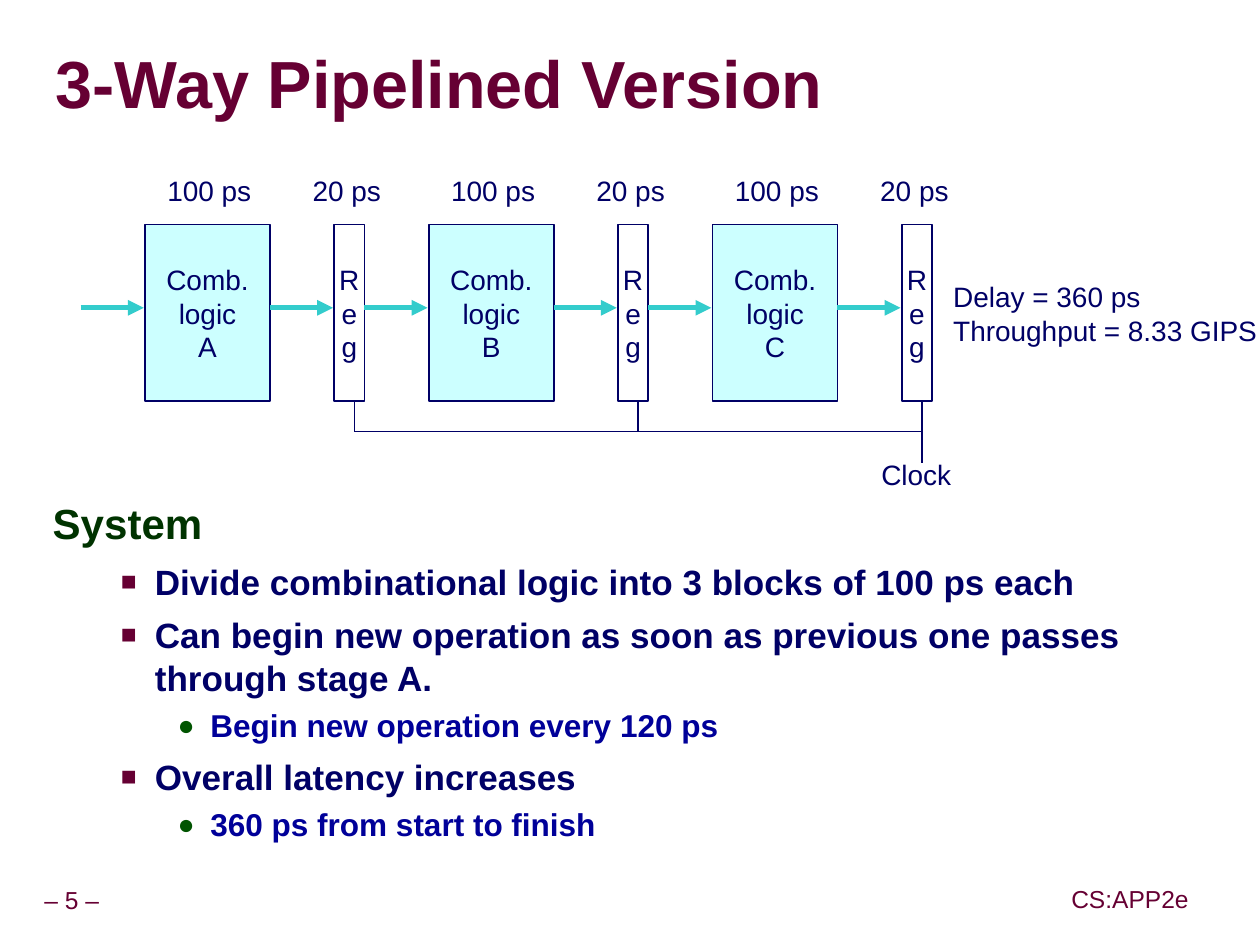
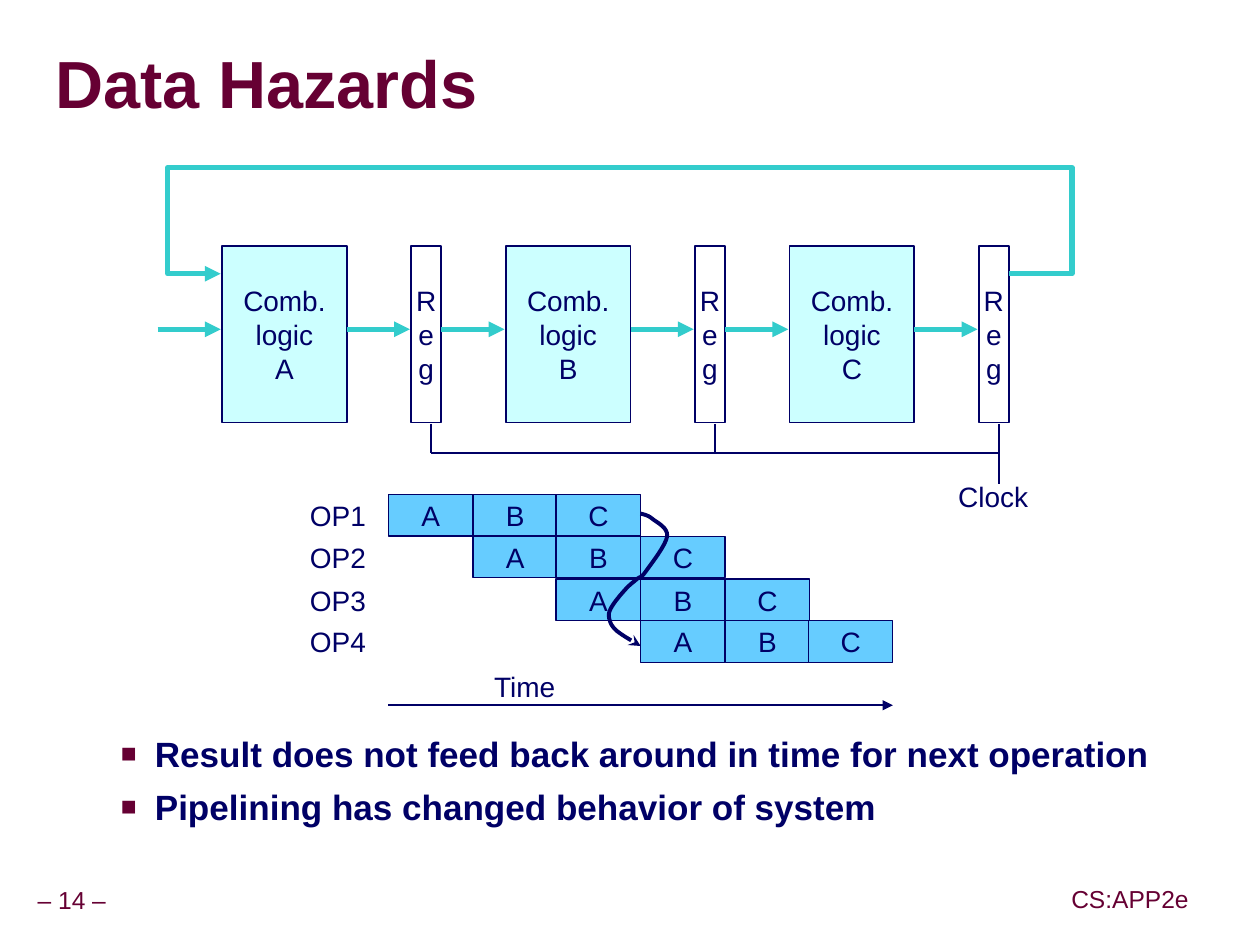
from lxml.etree import SubElement
from pptx import Presentation
from pptx.dml.color import RGBColor
from pptx.enum.shapes import MSO_CONNECTOR, MSO_SHAPE
from pptx.enum.text import MSO_ANCHOR, MSO_AUTO_SIZE, PP_ALIGN
from pptx.oxml import parse_xml
from pptx.oxml.ns import nsdecls, qn
from pptx.util import Pt

PX = 9144  # EMU per px, 100 px to the inch
NAVY, MAROON, TEAL = "000066", "660033", "33CCCC"
PALE, SKY, WHITE = "CCFFFF", "66CCFF", "FFFFFF"
CENTER, LEFT, RIGHT = PP_ALIGN.CENTER, PP_ALIGN.LEFT, PP_ALIGN.RIGHT

# size, colour, left margin, hanging indent, line spacing, space before, bullet
LEVELS = [
    (24, "003300", 42, 42, 0.95, 12, None),
    (20, NAVY, 81, 27, 1.02, 6, ("■", MAROON, 75)),
    (18, "000099", 125, 26, 1.07, 3, ("●", "005400", 90)),
]


def rgb(code):
    return RGBColor.from_string(code)


def put(obj, **values):
    for name, value in values.items():
        setattr(obj, name, value)


def smooth(points, steps=8):
    """Return points on a Catmull-Rom curve through the given points."""
    ends = [points[0], *points, points[-1]]
    curve = [points[0]]
    for a, b, c, d in zip(ends, ends[1:], ends[2:], ends[3:]):
        for i in range(1, steps + 1):
            t = i / steps
            curve.append(tuple(
                (2 * q + (r - p) * t + (2 * p - 5 * q + 4 * r - s) * t ** 2
                 + (3 * q - p - 3 * r + s) * t ** 3) / 2
                for p, q, r, s in zip(a, b, c, d)))
    return curve


class Deck:
    """Holds the presentation, its style and the current slide."""

    def __init__(self, width, height):
        self.prs = Presentation()
        put(self.prs, slide_width=width * PX, slide_height=height * PX)

    def slide(self, title, number):
        self.s = self.prs.slides.add_slide(self.prs.slide_layouts[5])
        sp = self.s.shapes.title
        put(sp, left=44 * PX, top=27 * PX, width=952 * PX, height=85 * PX)
        self.set_text(sp, [title], LEFT, 38, MAROON, inset=0, bold=True, spacing=0.87)
        sp.text_frame.word_wrap = True
        sp._element.find(".//" + qn("a:rPr")).find(qn("a:solidFill")).addnext(parse_xml(
            f'<a:effectLst {nsdecls("a")}><a:outerShdw dist="50800" dir="2700000">'
            '<a:srgbClr val="969696"/></a:outerShdw></a:effectLst>'))
        for text, box in ((f"– {number} –", (24, 699, 66, 31)),
                          ("CS:APP2e", (844, 698, 104, 31))):
            self.label(text, *box, size=14, color=MAROON, inset=5,
                       anchor=MSO_ANCHOR.MIDDLE, spacing=0.9)

    def set_text(self, sp, lines, align=CENTER, size=16, color=NAVY, inset=None,
                 anchor=MSO_ANCHOR.MIDDLE, bold=False, spacing=1.0):
        tf = sp.text_frame
        put(tf, word_wrap=False, auto_size=MSO_AUTO_SIZE.NONE, vertical_anchor=anchor)
        if inset is not None:
            for side in ("left", "top", "right", "bottom"):
                setattr(tf, f"margin_{side}", inset * PX)
        for i, line in enumerate(lines):
            p = tf.add_paragraph() if i else tf.paragraphs[0]
            put(p, alignment=align, line_spacing=spacing)
            self.add_text(p, line, size, color, bold)

    def add_text(self, p, text, size, color, bold):
        r = p.add_run()
        r.text = text
        put(r.font, name="Arial", size=Pt(size), bold=bold)
        r.font.color.rgb = rgb(color)

    def text_box(self, x, y, w, h):
        return self.s.shapes.add_textbox(x * PX, y * PX, w * PX, h * PX)

    def label(self, text, x, y, w, h=36, align=CENTER, anchor=MSO_ANCHOR.TOP, **style):
        self.set_text(self.text_box(x, y, w, h), text.split("\n"), align,
                      anchor=anchor, **style)

    def box(self, text, x, y, w, h, fill, line=1.0, align=CENTER):
        sp = self.s.shapes.add_shape(MSO_SHAPE.RECTANGLE, x * PX, y * PX, w * PX, h * PX)
        sp.shadow.inherit = False
        sp.fill.solid()
        sp.fill.fore_color.rgb = rgb(fill)
        if line:
            self.stroke(sp, NAVY, line)
        else:
            sp.line.fill.background()
        self.set_text(sp, text.split("\n"), align)

    def stroke(self, sp, color, width, head=None):
        sp.line.color.rgb = rgb(color)
        sp.line.width = Pt(width)
        if head:
            SubElement(sp._element.spPr.find(qn("a:ln")), qn("a:tailEnd"), type=head)

    def line(self, x1, y1, x2, y2, color=NAVY, width=1.0, head=None):
        sp = self.s.shapes.add_connector(
            MSO_CONNECTOR.STRAIGHT, x1 * PX, y1 * PX, x2 * PX, y2 * PX)
        self.stroke(sp, color, width, head)
        SubElement(sp._element.spPr, qn("a:effectLst"))

    def route(self, points, color, width, head):
        """Draw an open outline through the points, ending in an arrowhead."""
        first, *rest = [(round(x * PX), round(y * PX)) for x, y in points]
        builder = self.s.shapes.build_freeform(*first, scale=1.0)
        builder.add_line_segments(rest, close=False)
        sp = builder.convert_to_shape()
        sp.shadow.inherit = False
        sp.fill.background()
        self.stroke(sp, color, width, head)

    def bullets(self, y, h, items):
        tf = self.text_box(32, y, 907, h).text_frame
        tf.word_wrap = True
        for i, (level, text) in enumerate(items):
            size, color, margin, hang, spacing, before, bullet = LEVELS[level]
            p = tf.add_paragraph() if i else tf.paragraphs[0]
            put(p, level=level, line_spacing=spacing, space_before=Pt(before))
            self.add_text(p, text, size, color, True)
            pPr = p._p.get_or_add_pPr()
            pPr.set("marL", str(margin * PX))
            pPr.set("indent", str(-hang * PX))
            if bullet:
                char, tint, percent = bullet
                SubElement(SubElement(pPr, qn("a:buClr")), qn("a:srgbClr"), val=tint)
                SubElement(pPr, qn("a:buSzPct"), val=str(percent * 1000))
                SubElement(pPr, qn("a:buFont"), typeface="Arial")
                SubElement(pPr, qn("a:buChar"), char=char)

    def pipeline(self, x, y, delays=False):
        """Draw three logic and register stages on one clock line."""
        pitch, bus = 225, y + 164
        for i, stage in enumerate("ABC"):
            left = x + i * pitch
            self.box(f"Comb.\nlogic\n{stage}", left + 51, y, 99, 140, PALE)
            self.box("R\ne\ng", left + 201, y, 24, 140, WHITE)
            for start in (left, left + 150):
                self.line(start, y + 66, start + 50, y + 66, TEAL, 3, "triangle")
            self.line(left + 217, y + 141, left + 217, bus + (25 if stage == "C" else 0))
            if delays:
                self.label("100 ps", left + 59, y - 45, 86)
                self.label("20 ps", left + 174, y - 45, 74)
        self.line(x + 217, bus, x + 217 + 2 * pitch, bus)
        self.label("Clock", x + 625, y + 180, 75)


def pipelined_version(deck):
    deck.slide("3-Way Pipelined Version", 5)
    deck.pipeline(64, 178, delays=True)
    deck.label("Delay = 360 ps\nThroughput = 8.33 GIPS", 746, 217, 273, 63, LEFT)
    deck.bullets(392, 312, [
        (0, "System"),
        (1, "Divide combinational logic into 3 blocks of 100 ps each"),
        (1, "Can begin new operation as soon as previous one passes through stage A."),
        (2, "Begin new operation every 120 ps"),
        (1, "Overall latency increases"),
        (2, "360 ps from start to finish"),
    ])


def data_hazards(deck):
    deck.slide("Data Hazards", 14)
    deck.bullets(575, 128, [
        (1, "Result does not feed back around in time for next operation"),
        (1, "Pipelining has changed behavior of system"),
    ])
    deck.pipeline(125, 195)
    feedback = [(800, 217), (850, 217), (850, 133), (133, 133), (133, 217), (175, 217)]
    deck.route(feedback, TEAL, 3, "triangle")

    deck.line(308, 559, 708, 559, head="triangle")
    deck.label("Time", 382, 526, 69, align=LEFT)
    cell_w, cell_h = 200 / 3, 100 / 3
    for row in range(4):
        y = round(392 + row * cell_h)
        deck.box(f"OP{row + 1}", 208, y, 92, 33, WHITE, 0, RIGHT)
        for col, stage in enumerate("ABC", row):
            deck.box(stage, round(308 + col * cell_w), y, 67, 33, SKY, 0.75)
    dependency = [(508, 407), (517, 411), (529, 425), (512, 453), (505, 459), (496, 467),
                  (485, 481), (483, 490), (489, 500), (508, 512)]
    deck.route(smooth(dependency), NAVY, 2.25, "stealth")


def main():
    deck = Deck(999, 749)
    pipelined_version(deck)
    data_hazards(deck)
    deck.prs.save("out.pptx")


if __name__ == "__main__":
    main()
